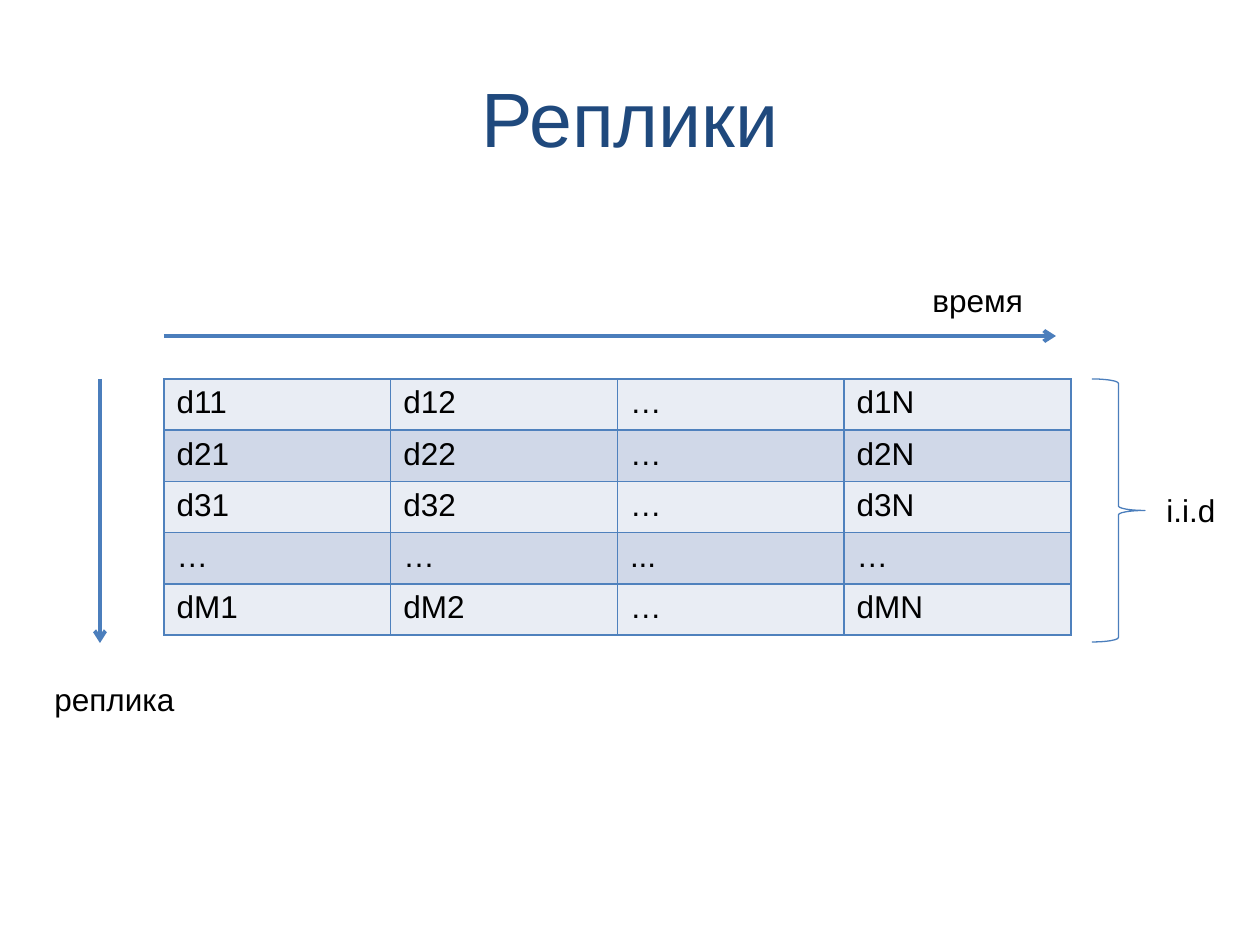
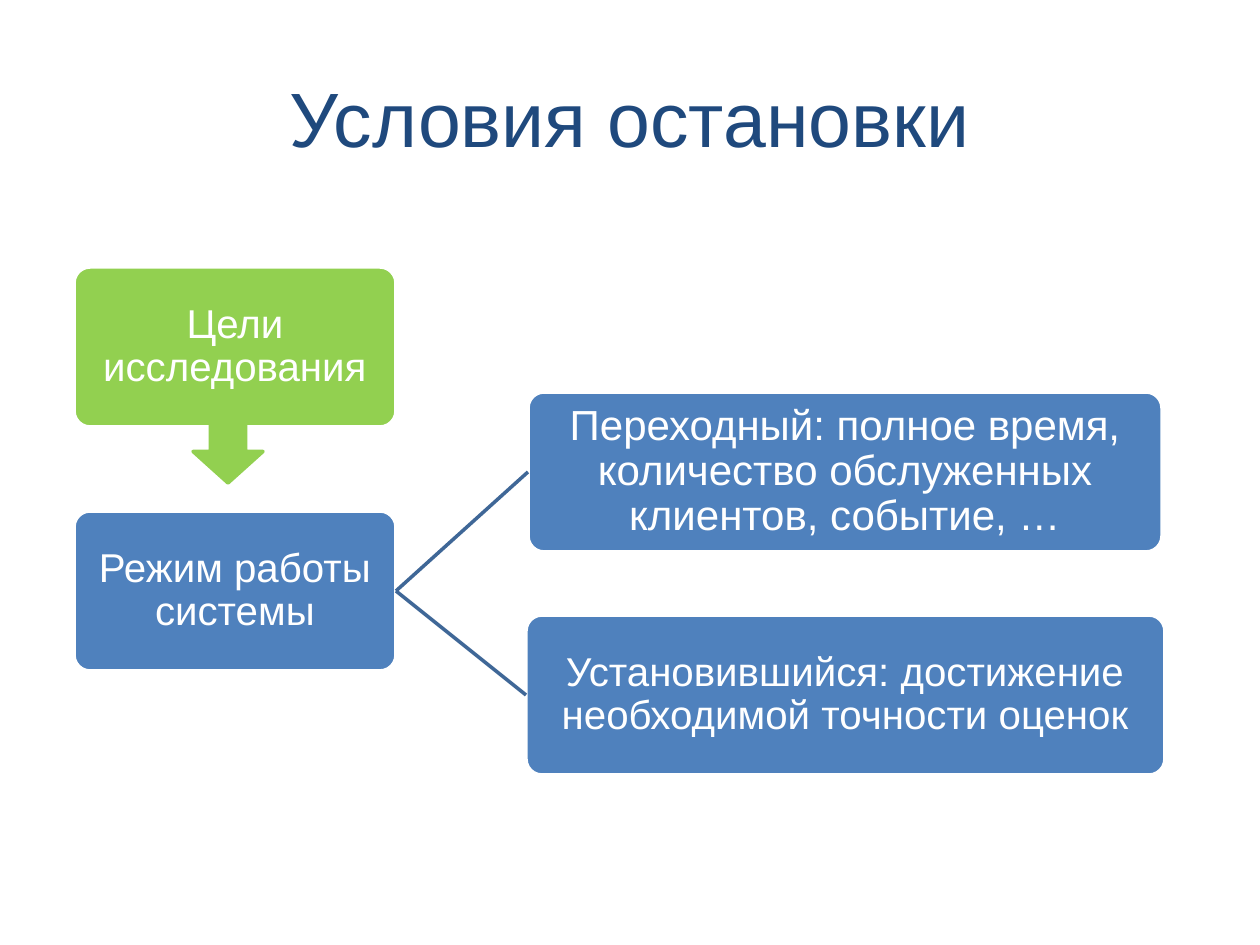
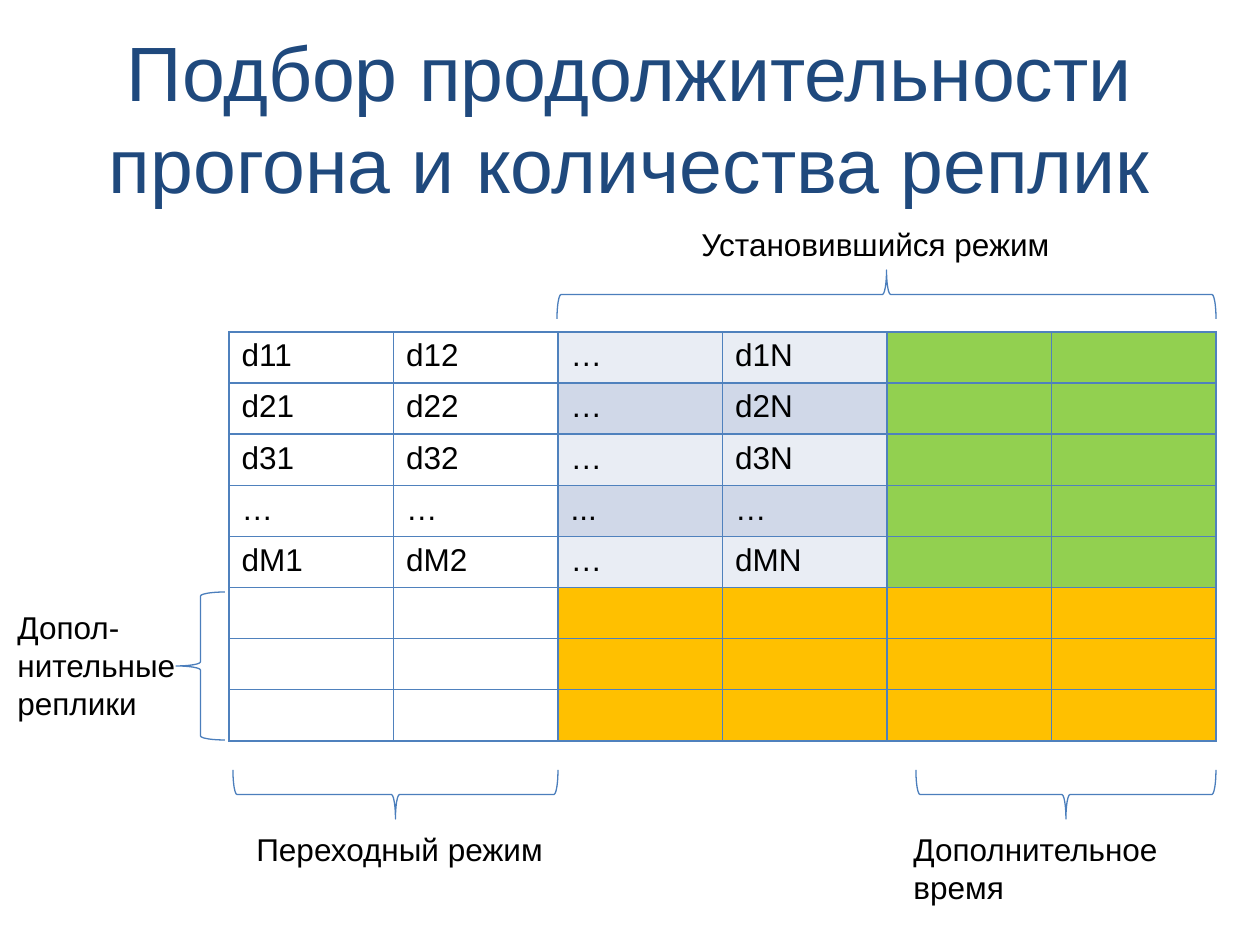
import pptx
import pptx.util
import pptx.dml.color
import pptx.enum.shapes
import pptx.enum.text
import pptx.oxml
import pptx.oxml.ns

SCALE = 914400 / 126
FONT = "Arial"
NAVY = "1F497D"
BLUE = "4F81BD"
EDGE = "4B7EBC"
LINK = "3F6797"
GREEN = "92D050"
GOLD = "FFC000"
WHITE = "FFFFFF"
BLACK = "000000"
BANDS = ("E9EDF4", "D0D8E8")
DATA = [
    ["d11", "d12", "…", "d1N"],
    ["d21", "d22", "…", "d2N"],
    ["d31", "d32", "…", "d3N"],
    ["…", "…", "...", "…"],
    ["dM1", "dM2", "…", "dMN"],
]
SHAPE = pptx.enum.shapes.MSO_SHAPE
ALIGN = pptx.enum.text.PP_ALIGN
MIDDLE = pptx.enum.text.MSO_ANCHOR.MIDDLE


def px(num):
    return round(num * SCALE)


def place(box):
    return [px(num) for num in box]


def hue(code):
    return pptx.dml.color.RGBColor.from_string(code)


def paint(fill, code):
    fill.solid()
    fill.fore_color.rgb = hue(code)


def stroke(line, code, width):
    paint(line.fill, code)
    line.width = pptx.util.Pt(width)


def write(para, text, size=18, code=BLACK):
    run = para.add_run()
    run.text = text
    run.font.name = FONT
    run.font.size = pptx.util.Pt(size)
    run.font.color.rgb = hue(code)


def new_slide(deck, title):
    slide = deck.slides.add_slide(deck.slide_layouts[5])
    head = slide.shapes.title
    head.left, head.top, head.width, head.height = place((63, 38, 1134, 157))
    frame = head.text_frame
    frame.auto_size = pptx.enum.text.MSO_AUTO_SIZE.NONE
    frame.vertical_anchor = MIDDLE
    para = frame.paragraphs[0]
    para.alignment = ALIGN.CENTER
    write(para, title, 44, NAVY)
    return slide


def label(slide, box, *lines, wrap=False):
    frame = slide.shapes.add_textbox(*place(box)).text_frame
    frame.word_wrap = wrap
    for num, text in enumerate(lines):
        para = frame.add_paragraph() if num else frame.paragraphs[0]
        write(para, text)


def shape(slide, kind, box, fill, edge, width):
    item = slide.shapes.add_shape(kind, *place(box))
    item.shadow.inherit = False
    if fill:
        paint(item.fill, fill)
    else:
        item.fill.background()
    stroke(item.line, edge, width)
    return item


def brace(slide, box, turn=0, kind=SHAPE.LEFT_BRACE):
    left, top, wide, high = box
    if turn:
        shift = (wide - high) / 2
        box = (left + shift, top - shift, high, wide)
    shape(slide, kind, box, None, EDGE, 0.75).rotation = turn


def panel(slide, box, text, size=23, fill=BLUE):
    item = shape(slide, SHAPE.ROUNDED_RECTANGLE, box, fill, WHITE, 2)
    item.adjustments[0] = 0.1
    frame = item.text_frame
    frame.word_wrap = True
    frame.vertical_anchor = MIDDLE
    frame.margin_left = frame.margin_right = px(3)
    frame.margin_top = frame.margin_bottom = px(3)
    para = frame.paragraphs[0]
    para.alignment = ALIGN.CENTER
    para.line_spacing = 0.9
    write(para, text, size, WHITE)
    return item


def wire(slide, ends, code, width):
    kind = pptx.enum.shapes.MSO_CONNECTOR.STRAIGHT
    item = slide.shapes.add_connector(kind, *place(ends))
    stroke(item.line, code, width)
    pptx.oxml.ns.qn("a:effectLst")
    item._element.spPr.append(
        item._element.makeelement(pptx.oxml.ns.qn("a:effectLst"), {}))
    return item


def arrow(slide, ends):
    item = wire(slide, ends, EDGE, 2.25)
    line = item.line._get_or_add_ln()
    line.append(line.makeelement(pptx.oxml.ns.qn("a:tailEnd"), {"type": "arrow"}))


def link(slide, start, end):
    item = wire(slide, (0, 0, 0, 0), LINK, 2)
    item.begin_connect(start, 3)
    item.end_connect(end, 1)


def border(cell):
    props = cell._tc.get_or_add_tcPr()
    for side in "LRTB":
        props.append(pptx.oxml.parse_xml(
            f'<a:ln{side} {pptx.oxml.ns.nsdecls("a")} w="12700"><a:solidFill>'
            f'<a:srgbClr val="{BLUE}"/></a:solidFill></a:ln{side}>'))


def grid(slide, box, rows, cols, tint):
    table = slide.shapes.add_table(rows, cols, *place(box)).table
    table.first_row = table.horz_banding = False
    for col in table.columns:
        col.width = px(box[2] / cols)
    for row in table.rows:
        row.height = px(box[3] / rows)
    for y in range(rows):
        for x in range(cols):
            cell = table.cell(y, x)
            border(cell)
            paint(cell.fill, tint(y, x))
            if y < len(DATA) and x < len(DATA[y]):
                write(cell.text_frame.paragraphs[0], DATA[y][x])


def band(y, x):
    return BANDS[y % 2]


def zone(y, x):
    if x < 2:
        return WHITE
    if y >= len(DATA):
        return GOLD
    return band(y, x) if x < 4 else GREEN


def replicas(deck):
    slide = new_slide(deck, "Реплики")
    grid(slide, (164, 379, 907, 256), 5, 4, band)
    arrow(slide, (164, 336, 1056, 336))
    label(slide, (920, 275, 117, 50), "время")
    arrow(slide, (100, 379, 100, 643))
    label(slide, (42, 674, 146, 50), "реплика")
    brace(slide, (1092, 379, 53, 263), kind=SHAPE.RIGHT_BRACE)
    label(slide, (1154, 485, 74, 50), "i.i.d")


def stopping(deck):
    slide = new_slide(deck, "Условия остановки")
    mode = panel(slide, (74, 511, 322, 160), "Режим работы системы")
    brief = panel(
        slide, (528, 392, 634, 160),
        "Переходный: полное время, количество обслуженных клиентов, событие, …", 24)
    steady = panel(
        slide, (526, 615, 639, 160),
        "Установившийся: достижение необходимой точности оценок")
    link(slide, mode, brief)
    link(slide, mode, steady)
    panel(slide, (74, 267, 322, 160), "Цели исследования", fill=GREEN)
    shape(slide, SHAPE.DOWN_ARROW, (193, 420, 70, 63), GREEN, GREEN, 2)


def length(deck):
    slide = new_slide(deck, "Подбор продолжительности прогона и количества реплик")
    grid(slide, (229, 332, 987, 409), 8, 6, zone)
    label(slide, (5, 602, 194, 127), "Допол-", "нительные", "реплики")
    brace(slide, (233, 770, 325, 49), 270)
    label(slide, (244, 824, 363, 50), "Переходный режим", wrap=True)
    brace(slide, (916, 770, 300, 49), 270)
    label(slide, (901, 824, 359, 89), "Дополнительное время", wrap=True)
    brace(slide, (176, 592, 49, 148))
    brace(slide, (557, 270, 659, 49), 90)
    label(slide, (689, 219, 396, 50), "Установившийся режим", wrap=True)


def main():
    deck = pptx.Presentation()
    deck.slide_width = px(1260)
    deck.slide_height = px(945)
    replicas(deck)
    stopping(deck)
    length(deck)
    deck.save("out.pptx")


if __name__ == "__main__":
    main()
